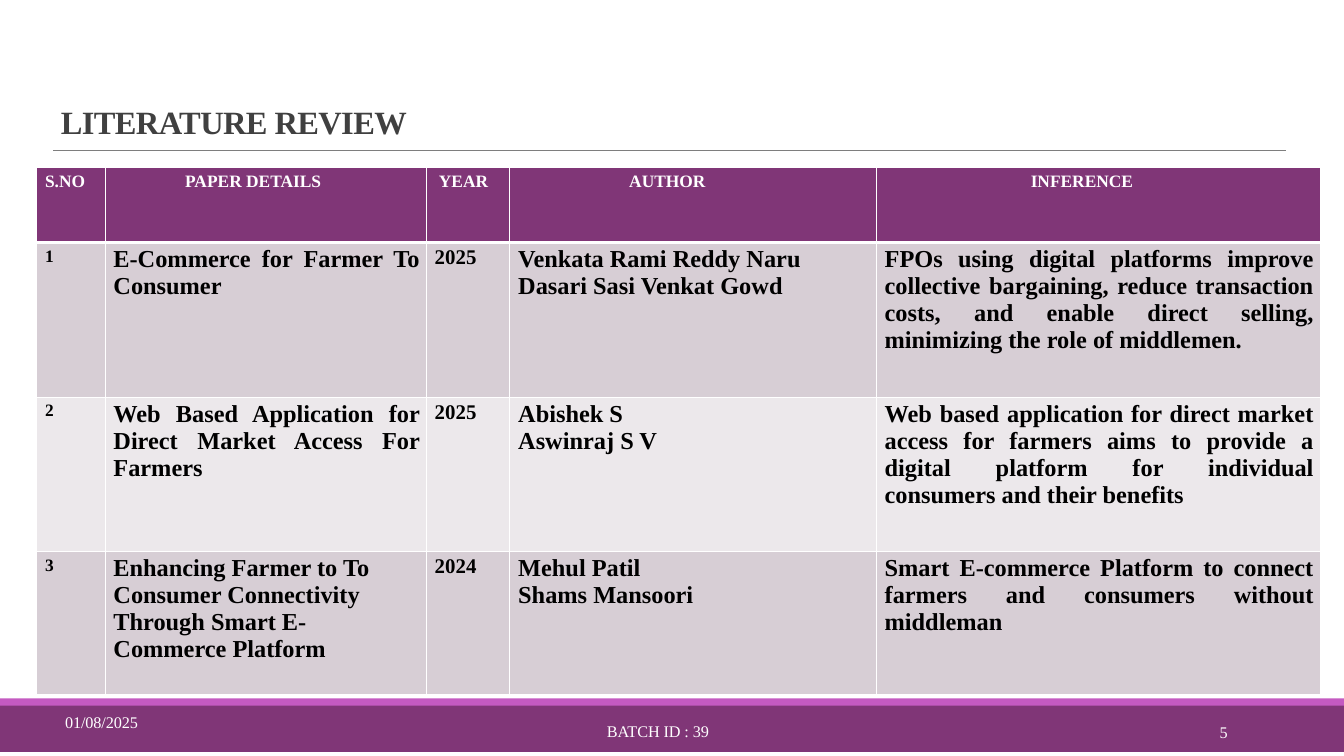
from dataclasses import dataclass

from lxml.etree import SubElement
from pptx import Presentation
from pptx.dml.color import RGBColor
from pptx.enum.shapes import MSO_CONNECTOR, MSO_SHAPE
from pptx.enum.text import MSO_ANCHOR, PP_ALIGN
from pptx.oxml import parse_xml
from pptx.oxml.ns import nsdecls, qn
from pptx.util import Inches, Pt

SLIDE_WIDTH, SLIDE_HEIGHT = Inches(16.1), Inches(9.06)
FONT = "Times New Roman"
COLORS = {
    "plum": "803677", "orchid": "C45AC1", "rule": "7E7E7E", "title": "404040",
    "white": "FFFFFF", "black": "000000", "odd": "D7CED5", "even": "ECE8EB",
}


@dataclass(frozen=True)
class Band:
    """Full-width strip; top and height in percent of the slide height."""
    top: float
    height: float
    color: str


@dataclass(frozen=True)
class Label:
    """Text box; lengths in percent of the slide size."""
    text: str
    left: float
    top: float
    width: float
    height: float
    size: float = 14
    color: str = "white"
    bold: bool = False
    tracking: int = -10
    line_points: float | None = 16.3


@dataclass(frozen=True)
class Column:
    """Table column; width in percent of the slide width, indent in inches."""
    heading: str
    width: float
    heading_indent: float
    size: float
    justified: bool = False


BANDS = [Band(93.27, 6.18, "plum"), Band(92.38, 0.95, "orchid")]
LABELS = [
    Label("LITERATURE REVIEW", 4.53, 13.45, 91, 5.8, 28, "title", True, -50, None),
    Label("01/08/2025", 4.84, 94.26, 10.43, 3.97),
    Label("BATCH ID : 39", 45.16, 95.47, 8.88, 2.76),
    Label("5", 90.75, 95.58, 0.93, 2.65),
]

COLUMNS = [
    Column("S.NO", 5.09, 0.1, 15),
    Column("PAPER DETAILS", 23.91, 0.96, 21, True),
    Column("YEAR", 6.21, 0.15, 18),
    Column("AUTHOR", 27.27, 1.43, 21),
    Column("INFERENCE", 33.04, 1.85, 21, True),
]
ROW_HEIGHTS = [9.93, 20.42, 20.42, 18.87]
# A vertical tab marks a line break within a paragraph
PAPERS = [
    ("1", "E-Commerce for Farmer To Consumer", "2025",
     "Venkata Rami Reddy Naru\vDasari Sasi Venkat Gowd",
     "FPOs using digital platforms improve collective bargaining, reduce transaction "
     "costs, and enable direct selling,\vminimizing the role of middlemen."),
    ("2", "Web Based Application for Direct Market Access For Farmers", "2025",
     "Abishek S\vAswinraj S V",
     "Web based application for direct market access for farmers aims to provide a "
     "digital platform for individual\vconsumers and their benefits"),
    ("3", "Enhancing Farmer to To\vConsumer Connectivity\vThrough Smart E-\v"
     "Commerce Platform", "2024",
     "Mehul Patil\vShams Mansoori",
     "Smart E-commerce Platform to connect farmers and consumers without\vmiddleman"),
]


def across(percent: float) -> int:
    return round(SLIDE_WIDTH * percent / 100)


def down(percent: float) -> int:
    return round(SLIDE_HEIGHT * percent / 100)


def color(name: str) -> RGBColor:
    return RGBColor.from_string(COLORS[name])


def style(paragraph, size: float, color_name: str, bold: bool) -> None:
    font = paragraph.font
    font.name, font.size, font.bold = FONT, Pt(size), bold
    font.color.rgb = color(color_name)


def add_band(slide, band: Band) -> None:
    shape = slide.shapes.add_shape(
        MSO_SHAPE.RECTANGLE, 0, down(band.top), SLIDE_WIDTH, down(band.height))
    shape.shadow.inherit = False
    shape.fill.solid()
    shape.fill.fore_color.rgb = color(band.color)
    shape.line.fill.background()


def add_rule(slide) -> None:
    rule = slide.shapes.add_connector(
        MSO_CONNECTOR.STRAIGHT, across(3.98), down(19.87), across(95.65), down(19.87))
    rule.line.color.rgb = color("rule")
    rule.line.width = Pt(0.48)
    SubElement(rule._element.spPr, qn("a:effectLst"))


def add_label(slide, label: Label) -> None:
    box = slide.shapes.add_textbox(
        across(label.left), down(label.top), across(label.width), down(label.height))
    frame = box.text_frame
    frame.word_wrap = True
    frame.margin_left = frame.margin_top = frame.margin_right = frame.margin_bottom = 0
    paragraph = frame.paragraphs[0]
    run = paragraph.add_run()
    run.text = label.text
    run._r.get_or_add_rPr().set("spc", str(label.tracking))
    style(paragraph, label.size, label.color, label.bold)
    if label.line_points:
        paragraph.line_spacing = Pt(label.line_points)


def set_borders(cell, top: float, bottom: float) -> None:
    properties = cell._tc.get_or_add_tcPr()
    widths = {"lnL": 1, "lnR": 1, "lnT": top, "lnB": bottom}
    for position, (side, width) in enumerate(widths.items()):
        properties.insert(position, parse_xml(
            f'<a:{side} {nsdecls("a")} w="{Pt(width)}"><a:solidFill>'
            f'<a:srgbClr val="{COLORS["white"]}"/></a:solidFill></a:{side}>'))


def fill_cell(cell, text: str, column: Column, row: int) -> None:
    is_heading = row == 0
    cell.fill.solid()
    cell.fill.fore_color.rgb = color("plum" if is_heading else "odd" if row % 2 else "even")
    set_borders(cell, top=3 if row == 1 else 1, bottom=3 if is_heading else 1)
    cell.vertical_anchor = MSO_ANCHOR.TOP
    cell.margin_left = Inches(column.heading_indent if is_heading else 0.1)
    cell.margin_top = Inches(0.05 if is_heading or column.size == 15 else 0.04)
    cell.margin_right = 0 if is_heading else Inches(0.08)
    cell.margin_bottom = 0
    paragraph = cell.text_frame.paragraphs[0]
    paragraph.text = text
    justified = column.justified and not is_heading and text.count("\v") < 2
    paragraph.alignment = PP_ALIGN.JUSTIFY if justified else PP_ALIGN.LEFT
    style(paragraph, 15 if is_heading else column.size,
          "white" if is_heading else "black", True)


def add_review_table(slide) -> None:
    rows = [tuple(column.heading for column in COLUMNS), *PAPERS]
    table = slide.shapes.add_table(
        len(rows), len(COLUMNS), across(2.73), down(22.19),
        across(sum(column.width for column in COLUMNS)), down(sum(ROW_HEIGHTS))).table
    table.first_row = table.horz_banding = False
    for table_column, column in zip(table.columns, COLUMNS):
        table_column.width = across(column.width)
    for row, (texts, height) in enumerate(zip(rows, ROW_HEIGHTS)):
        table.rows[row].height = down(height)
        for index, (text, column) in enumerate(zip(texts, COLUMNS)):
            fill_cell(table.cell(row, index), text, column, row)


def main() -> None:
    presentation = Presentation()
    presentation.slide_width, presentation.slide_height = SLIDE_WIDTH, SLIDE_HEIGHT
    slide = presentation.slides.add_slide(presentation.slide_layouts[6])
    # Footer bands and title rule
    for band in BANDS:
        add_band(slide, band)
    add_rule(slide)
    # Title and footer text
    for label in LABELS:
        add_label(slide, label)
    # Literature table
    add_review_table(slide)
    presentation.save("out.pptx")


if __name__ == "__main__":
    main()
